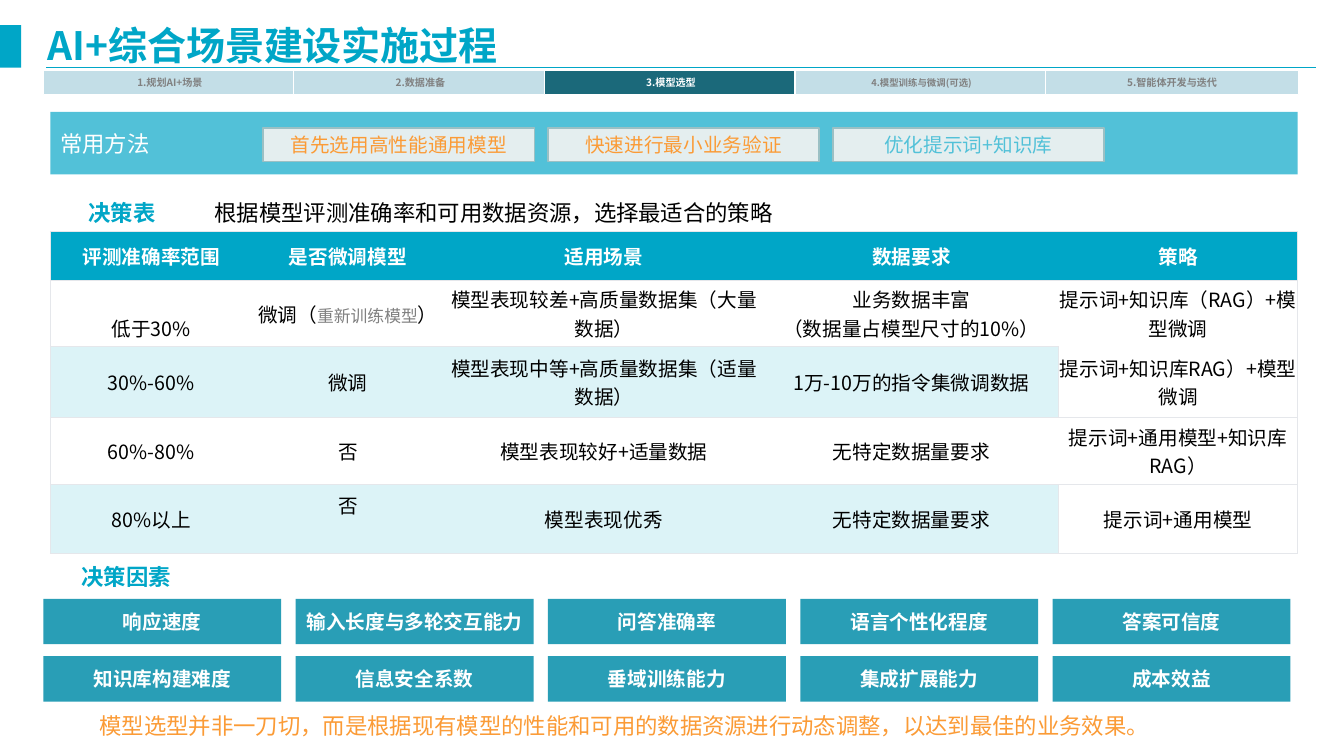
from lxml.etree import SubElement
from pptx import Presentation
from pptx.dml.color import RGBColor
from pptx.enum.shapes import MSO_CONNECTOR, MSO_SHAPE
from pptx.enum.text import MSO_ANCHOR, MSO_AUTO_SIZE, PP_ALIGN
from pptx.oxml.ns import qn
from pptx.util import Inches, Pt

FONT = "Noto Sans CJK SC"
COLORS = {
    "accent": "00A6C7", "step": "C3DEE7", "active_step": "1B697A", "gray": "808080",
    "white": "FFFFFF", "black": "000000", "border": "E5E7EB", "band": "DCF3F7",
    "factor": "299EB6", "banner": "52C1D8", "method": "E4EEEF",
    "method_line": "9BC0C4", "orange": "FB9B36",
}
STEPS = ["1.规划AI+场景", "2.数据准备", "3.模型选型", "4.模型训练与微调(可选)", "5.智能体开发与迭代"]
ACTIVE_STEP = 2
METHODS = [("首先选用高性能通用模型", "orange"), ("快速进行最小业务验证", "orange"),
           ("优化提示词+知识库", "banner")]
FACTORS = [
    ["响应速度", "输入长度与多轮交互能力", "问答准确率", "语言个性化程度", "答案可信度"],
    ["知识库构建难度", "信息安全系数", "垂域训练能力", "集成扩展能力", "成本效益"],
]
COLUMN_WIDTHS = [2, 1.9, 3.18, 2.92, 2.37]
ROW_HEIGHTS = [0.48, 0.66, 0, 0.7, 0.67, 0, 0.68]
HEADERS = ["评测准确率范围", "是否微调模型", "适用场景", "数据要求", "策略"]
# Each entry: first row, last row, texts of the first four columns
DECISIONS = [
    (1, 2, ["低于30%", [("微调（", 14, "black"), ("重新训练模型", 12, "gray"), ("）", 14, "black")],
            "模型表现较差+高质量数据集（大量数据）", "业务数据丰富\n（数据量占模型尺寸的10%）"]),
    (3, 3, ["30%-60%", "微调", "模型表现中等+高质量数据集（适量数据）", "1万-10万的指令集微调数据"]),
    (4, 4, ["60%-80%", "否", "模型表现较好+适量数据", "无特定数据量要求"]),
    (5, 6, ["80%以上", "否", "模型表现优秀", "无特定数据量要求"]),
]
STRATEGIES = [(1, 1, "提示词+知识库（RAG）+模型微调"), (2, 3, "提示词+知识库RAG）+模型微调"),
              (4, 5, "提示词+通用模型+知识库RAG）"), (6, 6, "提示词+通用模型")]
BOXED_STRATEGY_ROWS = (2, 3, 6)
HALF_LINE_SHIFT = 0.28


def color(name):
    return RGBColor.from_string(COLORS[name])


def add_run(paragraph, text, size=14, tint="black", bold=False):
    run = paragraph.add_run()
    run.text = text
    font = run.font
    font.size, font.bold, font.name = Pt(size), bold, FONT
    font.color.rgb = color(tint)
    SubElement(font._element, qn("a:ea"), typeface=FONT)


def write(frame, text, align=PP_ALIGN.LEFT, **style):
    """Fill a text frame, one paragraph per line; a list holds (text, size, tint) runs."""
    lines = text.split("\n") if isinstance(text, str) else [text]
    for index, line in enumerate(lines):
        paragraph = frame.add_paragraph() if index else frame.paragraphs[0]
        paragraph.alignment = align
        if isinstance(line, str):
            add_run(paragraph, line, **style)
        else:
            for part in line:
                add_run(paragraph, *part)


def add_label(slide, left, top, width, height, text, **style):
    box = slide.shapes.add_textbox(Inches(left), Inches(top), Inches(width), Inches(height))
    box.text_frame.word_wrap = True
    box.text_frame.auto_size = MSO_AUTO_SIZE.SHAPE_TO_FIT_TEXT
    write(box.text_frame, text, **style)


def add_block(slide, left, top, width, height, fill, text="", line=None, line_width=1,
              kind=MSO_SHAPE.RECTANGLE, align=PP_ALIGN.CENTER, **style):
    shape = slide.shapes.add_shape(kind, Inches(left), Inches(top), Inches(width), Inches(height))
    shape.shadow.inherit = False
    shape.fill.solid()
    shape.fill.fore_color.rgb = color(fill)
    if line:
        shape.line.color.rgb = color(line)
        shape.line.width = Pt(line_width)
    else:
        shape.line.fill.background()
    if text:
        frame = shape.text_frame
        frame.word_wrap = True
        frame.vertical_anchor = MSO_ANCHOR.MIDDLE
        write(frame, text, align=align, **style)
    return shape


def add_title(slide, left, top, width):
    add_block(slide, 0, top + 0.09, 0.21, 0.42, "accent")
    rule_top = Inches(top + 0.51)
    rule = slide.shapes.add_connector(MSO_CONNECTOR.STRAIGHT, Inches(left + 0.09), rule_top,
                                      Inches(left + width), rule_top)
    rule.line.color.rgb = color("accent")
    rule.line.width = Pt(1.25)
    SubElement(rule._element.spPr, qn("a:effectLst"))
    add_label(slide, left, top, 9.29, 0.57, "AI+综合场景建设实施过程",
              size=27.9, tint="accent", bold=True)


def add_steps(slide, left, top, width, height):
    step_width = 2.51
    pitch = (width - step_width) / (len(STEPS) - 1)
    for index, text in enumerate(STEPS):
        active = index == ACTIVE_STEP
        step = add_block(slide, left + index * pitch, top, step_width, height,
                         "active_step" if active else "step", text, line="white",
                         line_width=1 if active else 0.75, kind=MSO_SHAPE.ROUNDED_RECTANGLE,
                         size=6.7 if index == 3 else 7.2,
                         tint="white" if active else "gray", bold=True)
        step.adjustments[0] = 0


def add_methods(slide, left, top, width, height):
    add_block(slide, left, top, width, height, "banner", "常用方法",
              align=PP_ALIGN.LEFT, size=16, tint="white")
    for index, (text, tint) in enumerate(METHODS):
        add_block(slide, left + 2.11 + index * 2.825, top + 0.16, 2.69, 0.33, "method", text,
                  line="method_line", tint=tint)


def set_borders(cell, sides):
    properties = cell._tc.get_or_add_tcPr()
    for index, side in enumerate("LRTB"):
        line = SubElement(properties, qn(f"a:ln{side}"), w=str(Pt(0.75)))
        if side in sides:
            solid = SubElement(line, qn("a:solidFill"))
            SubElement(solid, qn("a:srgbClr"), val=COLORS["border"])
        else:
            SubElement(line, qn("a:noFill"))


def format_cell(cell, row, column):
    """Set insets, borders and fill from the cell's place in the grid."""
    cell.margin_left = cell.margin_right = cell.margin_top = cell.margin_bottom = 0
    cell.vertical_anchor = MSO_ANCHOR.MIDDLE
    last = len(HEADERS) - 1
    sides = "TB" + ("L" if column == 0 else "") + ("R" if column == last else "")
    if column == last and row in BOXED_STRATEGY_ROWS:
        sides += "L"
    set_borders(cell, sides)
    if row == 0 or (column < last and row in (3, 5, 6)):
        cell.fill.solid()
        cell.fill.fore_color.rgb = color("accent" if row == 0 else "band")
    else:
        cell.fill.background()


def add_decision_table(slide, left, top, width, height):
    table = slide.shapes.add_table(len(ROW_HEIGHTS), len(HEADERS), Inches(left), Inches(top),
                                   Inches(width), Inches(height)).table
    for column, size in zip(table.columns, COLUMN_WIDTHS):
        column.width = Inches(size)
    for row, size in zip(table.rows, ROW_HEIGHTS):
        row.height = Inches(size)
    for row in range(len(ROW_HEIGHTS)):
        for column in range(len(HEADERS)):
            format_cell(table.cell(row, column), row, column)

    entries = [(0, 0, column, text) for column, text in enumerate(HEADERS)]
    entries += [(first, last, column, text) for first, last, texts in DECISIONS
                for column, text in enumerate(texts)]
    entries += [(first, last, len(HEADERS) - 1, text) for first, last, text in STRATEGIES]
    for first, last, column, text in entries:
        cell = table.cell(first, column)
        if last > first:
            cell.merge(table.cell(last, column))
        write(cell.text_frame, text, align=PP_ALIGN.CENTER,
              tint="black" if first else "white", bold=first == 0)
    table.cell(1, 0).margin_top = Inches(HALF_LINE_SHIFT)
    table.cell(5, 1).margin_bottom = Inches(HALF_LINE_SHIFT)


def add_factors(slide, left, top, width, height):
    block_width, block_height = 2.36, 0.45
    column_pitch = (width - block_width) / (len(FACTORS[0]) - 1)
    row_pitch = (height - block_height) / (len(FACTORS) - 1)
    for row, texts in enumerate(FACTORS):
        for column, text in enumerate(texts):
            block = add_block(slide, left + column * column_pitch, top + row * row_pitch,
                              block_width, block_height, "factor", text, tint="white", bold=True)
            block.text_frame.margin_left = block.text_frame.margin_right = Inches(0.05)


def main():
    presentation = Presentation()
    presentation.slide_width, presentation.slide_height = Inches(13.33), Inches(7.5)
    slide = presentation.slides.add_slide(presentation.slide_layouts[6])
    heading = {"size": 16, "tint": "accent", "bold": True}
    add_title(slide, 0.37, 0.16, 12.68)
    add_steps(slide, 0.43, 0.7, 12.45, 0.24)
    add_methods(slide, 0.5, 1.11, 12.37, 0.62)
    add_label(slide, 0.78, 1.93, 1.13, 0.37, "决策表", **heading)
    add_label(slide, 2.03, 1.93, 8.41, 0.37,
              "根据模型评测准确率和可用数据资源，选择最适合的策略", size=16)
    add_decision_table(slide, 0.5, 2.3, 12.37, 3.19)
    add_label(slide, 0.71, 5.54, 2.31, 0.37, "决策因素", **heading)
    add_factors(slide, 0.43, 5.94, 12.37, 1.02)
    add_label(slide, 0.89, 7.02, 11.91, 0.37,
              "模型选型并非一刀切，而是根据现有模型的性能和可用的数据资源进行动态调整，以达到最佳的业务效果。",
              size=16, tint="orange")
    presentation.save("out.pptx")


if __name__ == "__main__":
    main()
